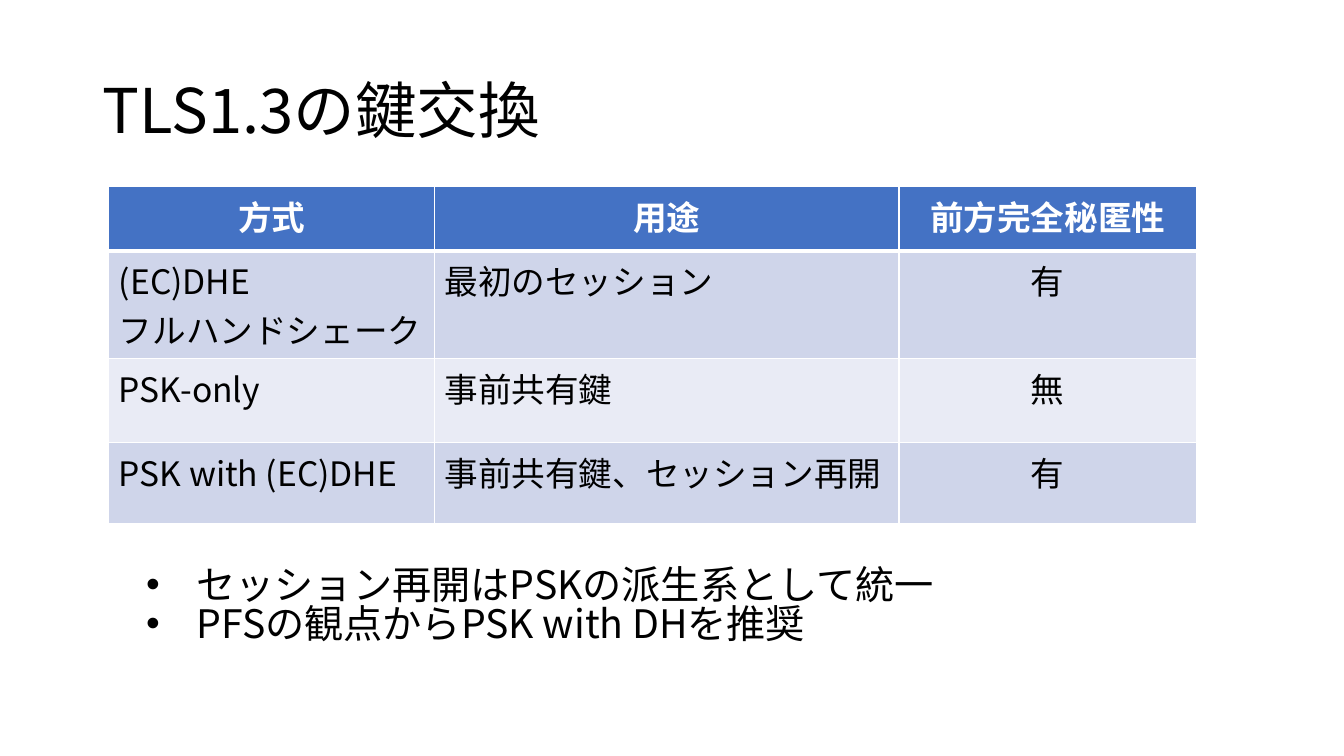
import lxml.etree
import pptx
import pptx.dml.color
import pptx.enum.text
import pptx.oxml.ns
import pptx.util

Pt = pptx.util.Pt
qn = pptx.oxml.ns.qn
ALIGN = pptx.enum.text.PP_ALIGN
ANCHOR = pptx.enum.text.MSO_ANCHOR

FONT = "Noto Sans CJK JP"
COLORS = {
    "text": "000000",
    "white": "FFFFFF",
    "header": "4472C4",
    "band_dark": "CFD5EA",
    "band_light": "E9EBF5",
}

TITLE_BOX = (66, 28.8, 828, 104.4)
TABLE_BOX = (77.76, 133.2, 776.88, 223.92)
POINTS_BOX = (97.2, 402.5, 784, 75)

COLUMN_WIDTHS = (232.56, 331.92, 212.4)
ROW_HEIGHTS = (46.08, 59.76, 59.76, 58.32)
KEY_EXCHANGES = (
    ("方式", "用途", "前方完全秘匿性"),
    ("(EC)DHE\nフルハンドシェーク", "最初のセッション", "有"),
    ("PSK-only", "事前共有鍵", "無"),
    ("PSK with (EC)DHE", "事前共有鍵、セッション再開", "有"),
)
POINTS = (
    "セッション再開はPSKの派生系として統一",
    "PFSの観点からPSK with DHを推奨",
)


def rgb(name):
    return pptx.dml.color.RGBColor.from_string(COLORS[name])


def write(frame, text, size, color="text", bold=False, **paragraph_format):
    """Fill a text frame, one paragraph per line of text."""
    frame.text = text
    for paragraph in frame.paragraphs:
        for name, value in paragraph_format.items():
            setattr(paragraph, name, value)
        for run in paragraph.runs:
            font_format = {"name": FONT, "size": Pt(size), "bold": bold}
            for name, value in font_format.items():
                setattr(run.font, name, value)
            run.font.color.rgb = rgb(color)
            east_asian = lxml.etree.SubElement(run.font._element, qn("a:ea"))
            east_asian.set("typeface", FONT)


def place(placeholder, box, anchor):
    for name, length in zip(("left", "top", "width", "height"), box):
        setattr(placeholder, name, Pt(length))
    frame_format = {
        "word_wrap": True,
        "auto_size": pptx.enum.text.MSO_AUTO_SIZE.NONE,
        "vertical_anchor": anchor,
    }
    for name, value in frame_format.items():
        setattr(placeholder.text_frame, name, value)


def add_borders(cell, top, bottom):
    properties = cell._tc.get_or_add_tcPr()
    for side, width in (("L", 1), ("R", 1), ("T", top), ("B", bottom)):
        line = lxml.etree.SubElement(properties, qn(f"a:ln{side}"), w=str(Pt(width)))
        fill = lxml.etree.SubElement(line, qn("a:solidFill"))
        lxml.etree.SubElement(fill, qn("a:srgbClr"), val=COLORS["white"])


def fill_title(slide, box):
    title = slide.shapes.title
    place(title, box, ANCHOR.MIDDLE)
    write(title.text_frame, "TLS1.3の鍵交換", 44,
          alignment=ALIGN.LEFT, line_spacing=0.9)


def add_key_exchange_table(slide, box):
    table = slide.shapes.add_table(
        len(KEY_EXCHANGES), len(COLUMN_WIDTHS), *map(Pt, box)).table
    for column, width in zip(table.columns, COLUMN_WIDTHS):
        column.width = Pt(width)
    for row, height in zip(table.rows, ROW_HEIGHTS):
        row.height = Pt(height)

    for r, entries in enumerate(KEY_EXCHANGES):
        is_header = r == 0
        band = "header" if is_header else "band_dark" if r % 2 else "band_light"
        for c, entry in enumerate(entries):
            cell = table.cell(r, c)
            centred = is_header or c == len(entries) - 1
            write(cell.text_frame, entry, 24,
                  color="white" if is_header else "text", bold=is_header,
                  alignment=ALIGN.CENTER if centred else ALIGN.LEFT)
            add_borders(cell, top=3 if r == 1 else 1, bottom=3 if is_header else 1)
            cell.fill.solid()
            cell.fill.fore_color.rgb = rgb(band)


def fill_points(slide, box):
    body = slide.placeholders[1]
    place(body, box, ANCHOR.TOP)
    write(body.text_frame, "\n".join(POINTS), 28, alignment=ALIGN.LEFT,
          line_spacing=0.83, space_before=Pt(0), space_after=Pt(0))
    for paragraph in body.text_frame.paragraphs:
        properties = paragraph._p.get_or_add_pPr()
        properties.set("marL", str(Pt(36)))
        properties.set("indent", str(-Pt(36)))
        lxml.etree.SubElement(properties, qn("a:buFont"), typeface="Arial")
        lxml.etree.SubElement(properties, qn("a:buChar"), char="•")


def main():
    deck = pptx.Presentation()
    deck.slide_width, deck.slide_height = Pt(960), Pt(540)
    slide = deck.slides.add_slide(deck.slide_layouts.get_by_name("Title and Content"))
    slide.background.fill.solid()
    slide.background.fill.fore_color.rgb = rgb("white")
    fill_title(slide, TITLE_BOX)
    add_key_exchange_table(slide, TABLE_BOX)
    fill_points(slide, POINTS_BOX)
    deck.save("out.pptx")


if __name__ == "__main__":
    main()
